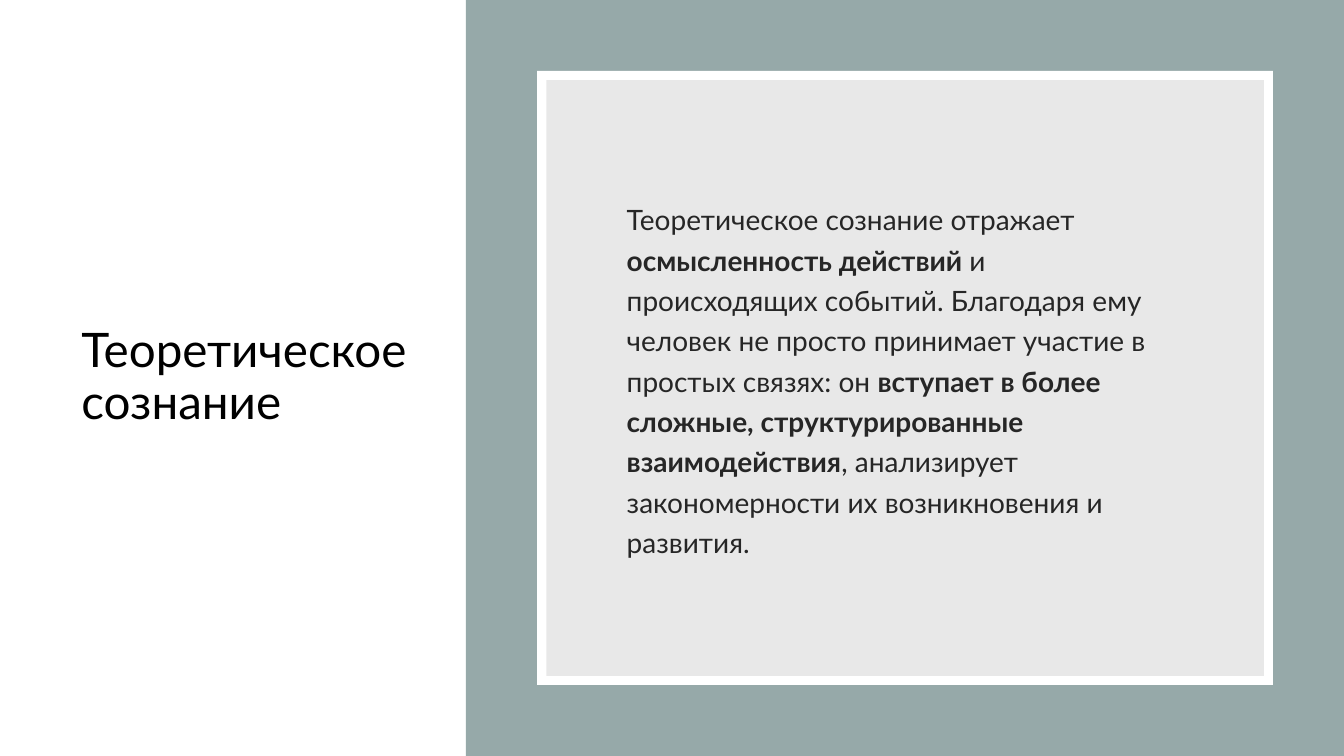
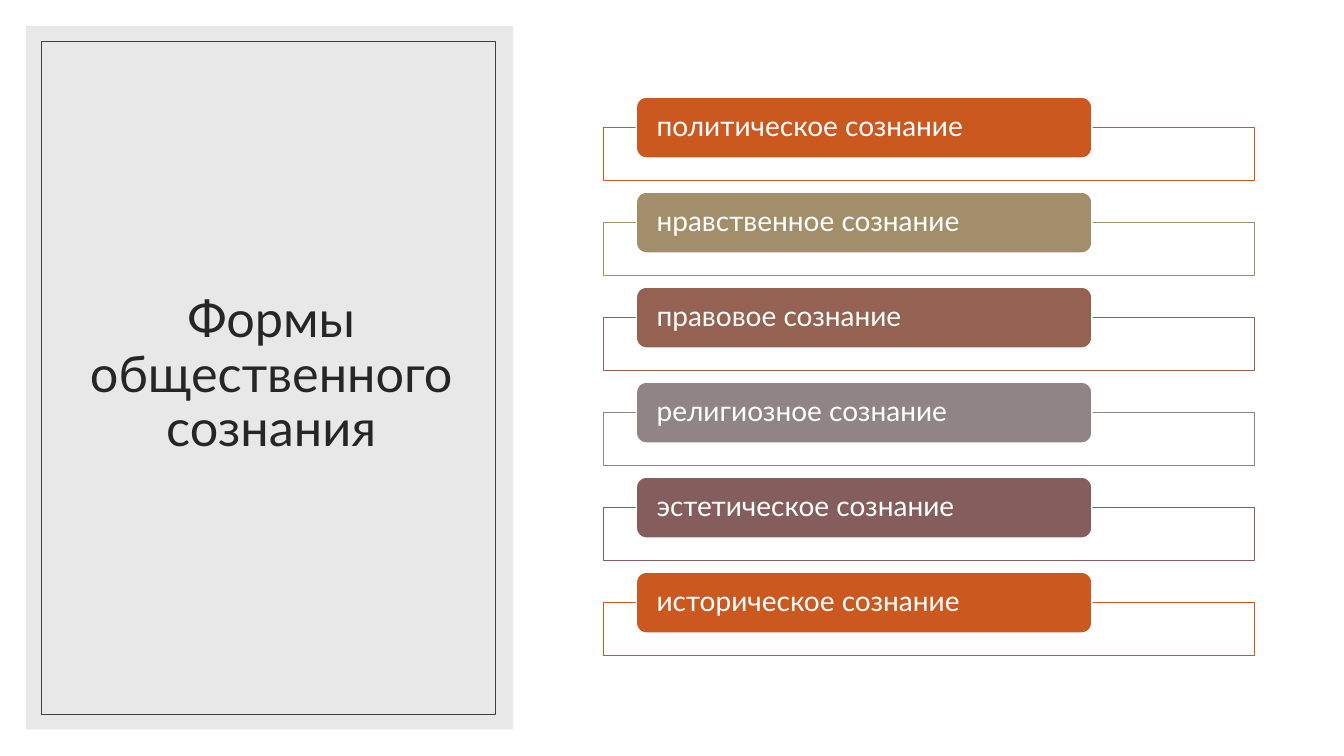
"""Build two slides about theoretical consciousness and the forms of social consciousness."""
from pptx import Presentation
from pptx.dml.color import RGBColor
from pptx.enum.shapes import MSO_SHAPE
from pptx.enum.text import MSO_ANCHOR, MSO_AUTO_SIZE, PP_ALIGN
from pptx.util import Pt

FONT = "Lato"
COLOURS = {
    "white": "FFFFFF", "black": "000000", "text": "262626", "outline": "404040",
    "panel": "E8E8E8", "sage": "96A9A9", "orange": "CB581F", "sand": "A28E6A",
    "brown": "956251", "grey": "918485", "plum": "855D5D",
}
THEORY_TITLE = "Теоретическое сознание"
THEORY_RUNS = [
    ("Теоретическое сознание отражает ", False),
    ("осмысленность действий ", True),
    ("и происходящих событий. Благодаря ему человек не просто принимает участие "
     "в простых связях: он ", False),
    ("вступает в более сложные, структурированные взаимодействия", True),
    (", анализирует закономерности их возникновения и развития.", False),
]
FORMS_TITLE = "Формы общественного сознания"
FORMS = [
    ("политическое сознание", "orange"),
    ("нравственное сознание", "sand"),
    ("правовое сознание", "brown"),
    ("религиозное сознание", "grey"),
    ("эстетическое сознание", "plum"),
    ("историческое сознание", "orange"),
]
SLIDE_WIDTH, SLIDE_HEIGHT = 960, 540
ROW_TOP, ROW_PITCH = 69.4, 67.86
TAB_LEFT, TAB_WIDTH, TAB_HEIGHT = 454.5, 325.4, 43.5
FRAME_LEFT, FRAME_WIDTH, FRAME_HEIGHT = 431.3, 465, 37.8


def colour(name):
    return RGBColor.from_string(COLOURS[name])


def add_box(slide, bounds, fill=None, line=None, line_width=1, kind=MSO_SHAPE.RECTANGLE):
    shape = slide.shapes.add_shape(kind, *(Pt(length) for length in bounds))
    shape.shadow.inherit = False
    if fill:
        shape.fill.solid()
        shape.fill.fore_color.rgb = colour(fill)
    else:
        shape.fill.background()
    if line:
        shape.line.color.rgb = colour(line)
        shape.line.width = Pt(line_width)
    else:
        shape.line.fill.background()
    return shape


def write(shape, runs, size, colour_name, spacing=0.9, align=PP_ALIGN.LEFT):
    frame = shape.text_frame
    frame.word_wrap = True
    frame.auto_size = MSO_AUTO_SIZE.NONE
    frame.vertical_anchor = MSO_ANCHOR.MIDDLE
    paragraph = frame.paragraphs[0]
    paragraph.alignment = align
    paragraph.line_spacing = spacing
    for text, bold in runs:
        run = paragraph.add_run()
        run.text = text
        run.font.name = FONT
        run.font.size = Pt(size)
        run.font.bold = bold
        run.font.color.rgb = colour(colour_name)
    return paragraph


def add_title(slide, text, bounds, size, colour_name, align=PP_ALIGN.LEFT):
    title = slide.shapes.title
    title.left, title.top, title.width, title.height = (Pt(length) for length in bounds)
    write(title, [(text, False)], size, colour_name, align=align)
    title.element.getparent().append(title.element)


def add_slide(presentation):
    slide = presentation.slides.add_slide(presentation.slide_layouts[5])
    slide.background.fill.solid()
    slide.background.fill.fore_color.rgb = colour("white")
    return slide


def build_theory(presentation):
    slide = add_slide(presentation)
    add_box(slide, (332.8, 0, SLIDE_WIDTH - 332.8, SLIDE_HEIGHT), "sage")
    add_box(slide, (383.6, 50.6, 525.6, 438.7), "white")
    add_box(slide, (390.2, 57.3, 512.6, 425.5), "panel")
    add_title(slide, THEORY_TITLE, (51, 92, 258, 356), 34, "black")
    body = slide.shapes.add_textbox(Pt(440.6), Pt(107.3), Pt(411), Pt(324.7))
    write(body, THEORY_RUNS, 20, "text", spacing=1.2).space_before = Pt(9)


def build_forms(presentation):
    slide = add_slide(presentation)
    add_box(slide, (18.5, 18.5, 348, 502.5), "panel")
    add_box(slide, (29.4, 29.4, 324.7, 481), line="outline", line_width=0.5)
    add_title(slide, FORMS_TITLE, (45.4, 44, 296.6, 449.3), 36, "text", PP_ALIGN.CENTER)
    for index, (text, accent) in enumerate(FORMS):
        top = ROW_TOP + index * ROW_PITCH
        frame_top = top + TAB_HEIGHT / 2
        add_box(slide, (FRAME_LEFT, frame_top, FRAME_WIDTH, FRAME_HEIGHT), "white", accent)
        tab = add_box(slide, (TAB_LEFT, top, TAB_WIDTH, TAB_HEIGHT), accent, "white",
                      kind=MSO_SHAPE.ROUNDED_RECTANGLE)
        frame = tab.text_frame
        frame.margin_left = frame.margin_right = Pt(12.4)
        frame.margin_top = frame.margin_bottom = 0
        write(tab, [(text, False)], 20, "white")


def main():
    presentation = Presentation()
    presentation.slide_width, presentation.slide_height = Pt(SLIDE_WIDTH), Pt(SLIDE_HEIGHT)
    build_theory(presentation)
    build_forms(presentation)
    presentation.save("out.pptx")


if __name__ == "__main__":
    main()
